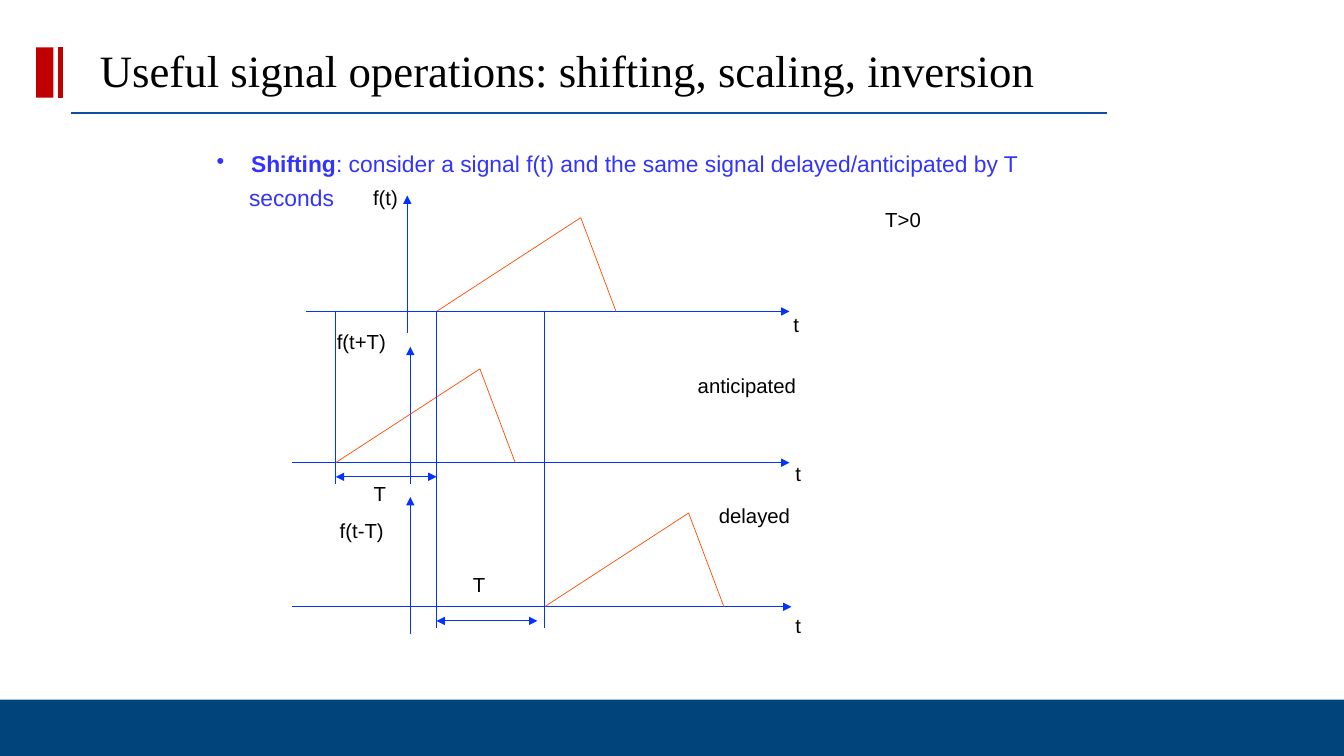
import pptx
import pptx.util
import pptx.dml.color
import pptx.enum.shapes
import pptx.enum.text
import pptx.oxml.ns
from lxml import etree

Inches = pptx.util.Inches
Pt = pptx.util.Pt
RGBColor = pptx.dml.color.RGBColor
Align = pptx.enum.text.PP_ALIGN

BLACK = RGBColor(0x00, 0x00, 0x00)
FOOTER_BLUE = RGBColor(0x00, 0x44, 0x7C)
RULE_BLUE = RGBColor(0x0B, 0x4D, 0xA2)
RED = RGBColor(0xC0, 0x00, 0x00)
TEXT_BLUE = RGBColor(0x33, 0x33, 0xFF)
AXIS_BLUE = RGBColor(0x04, 0x33, 0xFF)
SIGNAL_ORANGE = RGBColor(0xFF, 0x4C, 0x00)


def add_element(parent, tag, **attributes):
    return etree.SubElement(parent, pptx.oxml.ns.qn(tag), **attributes)


class SlideBuilder:
    def __init__(self, slide):
        self.slide = slide
        self.shapes = slide.shapes
        self.body_font = "Arial"
        self.title_font = "Times New Roman"
        self.label_size = 14.5

    def style_paragraph(self, para, size, color, font):
        for span in para.runs:
            span.font.name = font
            span.font.size = Pt(size)
            span.font.color.rgb = color

    def set_frame(self, frame, top_inset=0.01):
        frame.word_wrap = True
        frame.auto_size = pptx.enum.text.MSO_AUTO_SIZE.NONE
        frame.margin_left = frame.margin_right = frame.margin_bottom = 0
        frame.margin_top = Inches(top_inset)

    def title(self, text, left, top, width, height):
        box = self.shapes.title
        box.left, box.top = Inches(left), Inches(top)
        box.width, box.height = Inches(width), Inches(height)
        self.set_frame(box.text_frame)
        box.text_frame.vertical_anchor = pptx.enum.text.MSO_ANCHOR.BOTTOM
        box.text_frame.text = text
        para = box.text_frame.paragraphs[0]
        para.alignment = Align.LEFT
        self.style_paragraph(para, 32, BLACK, self.title_font)

    def label(self, text, left, top, width, height=0.26, size=None,
              color=BLACK, top_inset=0.01):
        box = self.shapes.add_textbox(Inches(left), Inches(top), Inches(width), Inches(height))
        self.set_frame(box.text_frame, top_inset)
        box.text_frame.text = text
        for para in box.text_frame.paragraphs:
            self.style_paragraph(para, size or self.label_size, color, self.body_font)
        return box.text_frame

    def bullet(self, lead, rest, left, top, width, height, size, color):
        """Bulleted line with a bold opening word."""
        frame = self.label(lead, left, top, width, height, size, color)
        para = frame.paragraphs[0]
        properties = para._p.get_or_add_pPr()
        properties.set("marL", str(Inches(0.35)))
        properties.set("indent", str(Inches(-0.34)))
        add_element(properties, "a:buChar", char="•")
        para.add_run().text = rest
        self.style_paragraph(para, size, color, self.body_font)
        para.runs[0].font.bold = True

    def bar(self, left, top, width, height, color):
        bar = self.shapes.add_shape(pptx.enum.shapes.MSO_SHAPE.RECTANGLE, Inches(left),
                                    Inches(top), Inches(width), Inches(height))
        bar.shadow.inherit = False
        bar.fill.solid()
        bar.fill.fore_color.rgb = color
        bar.line.fill.background()

    def line(self, start, end, color, weight, arrows=()):
        """Straight line; arrows lists the ends to point: headEnd, tailEnd."""
        line = self.shapes.add_connector(pptx.enum.shapes.MSO_CONNECTOR.STRAIGHT,
                                         *map(Inches, start + end))
        line.line.color.rgb = color
        line.line.width = Pt(weight)
        outline = line.line._get_or_add_ln()
        for arrow in arrows:
            add_element(outline, f"a:{arrow}", type="triangle", w="med", len="med")
        add_element(line._element.spPr, "a:effectLst")

    def signal(self, start, baseline):
        """Triangular pulse that rises slowly and falls fast."""
        points = [(start + 1.43, baseline - 0.93), (start + 1.78, baseline)]
        builder = self.shapes.build_freeform(Inches(start), Inches(baseline))
        builder.add_line_segments([(Inches(x), Inches(y)) for x, y in points], close=False)
        pulse = builder.convert_to_shape()
        pulse.shadow.inherit = False
        pulse.fill.background()
        pulse.line.color.rgb = SIGNAL_ORANGE
        pulse.line.width = Pt(0.5)

    def plot(self, left, right, baseline, origin, top, start, t_left, t_top):
        """Time axis, amplitude axis, pulse and the t label."""
        self.line((left, baseline), (right, baseline), AXIS_BLUE, 0.65, ["tailEnd"])
        self.line((origin, top + 1.36), (origin, top), AXIS_BLUE, 0.65, ["tailEnd"])
        self.signal(start, baseline)
        self.label("t", t_left, t_top, 0.1)


def main():
    deck = pptx.Presentation()
    deck.slide_width, deck.slide_height = Inches(13.33), Inches(7.5)
    page = SlideBuilder(deck.slides.add_slide(deck.slide_layouts[5]))

    page.bar(0, 6.94, 13.33, 0.56, FOOTER_BLUE)
    page.line((0.7, 1.12), (10.98, 1.12), RULE_BLUE, 1.5)
    page.bar(0.36, 0.47, 0.17, 0.5, RED)
    page.line((0.6, 0.47), (0.6, 0.97), RED, 3)
    page.title("Useful signal operations: shifting, scaling, inversion", 0.99, 0.41, 9.64, 0.55)
    page.bullet("Shifting", ": consider a signal f(t) and the same signal delayed/anticipated by T",
                2.14, 1.48, 8.2, 0.29, 16.3, TEXT_BLUE)
    page.label("seconds", 2.47, 1.81, 0.9, 0.29, 16.3, TEXT_BLUE)

    first, delayed, advanced = 4.33, 5.4, 3.33
    page.plot(3.04, 7.83, 3.09, 4.04, 1.94, first, 7.87, 3.09)
    page.plot(2.9, 7.83, 4.59, 4.07, 3.44, advanced, 7.89, 4.57)
    page.plot(2.9, 7.85, 6.02, 4.07, 4.93, delayed, 7.89, 6.07)

    for x, bottom in [(advanced, 4.8), (first, 6.23), (delayed, 6.23)]:
        page.line((x, bottom), (x, 3.09), AXIS_BLUE, 0.5)
    for left, y in [(advanced, 4.73), (first, 6.16)]:
        page.line((left, y), (left + 1, y), AXIS_BLUE, 0.65, ["headEnd", "tailEnd"])

    for text, left, top, width in [
        ("f(t)", 3.7, 1.83, 0.3),
        ("f(t+T)", 3.34, 3.26, 0.55),
        ("T", 4.69, 5.67, 0.16),
        ("T>0", 8.78, 2.05, 0.42),
        ("anticipated", 6.92, 3.69, 1.05),
        ("delayed", 7.13, 4.98, 0.78),
    ]:
        page.label(text, left, top, width)

    shift_frame = page.label("T\nf(t-T)", 3.37, 4.63, 0.46, 0.75, top_inset=0.14)
    shift_frame.paragraphs[0].alignment = Align.RIGHT
    shift_frame.paragraphs[1].space_before = Pt(9)

    deck.save("out.pptx")


if __name__ == "__main__":
    main()
